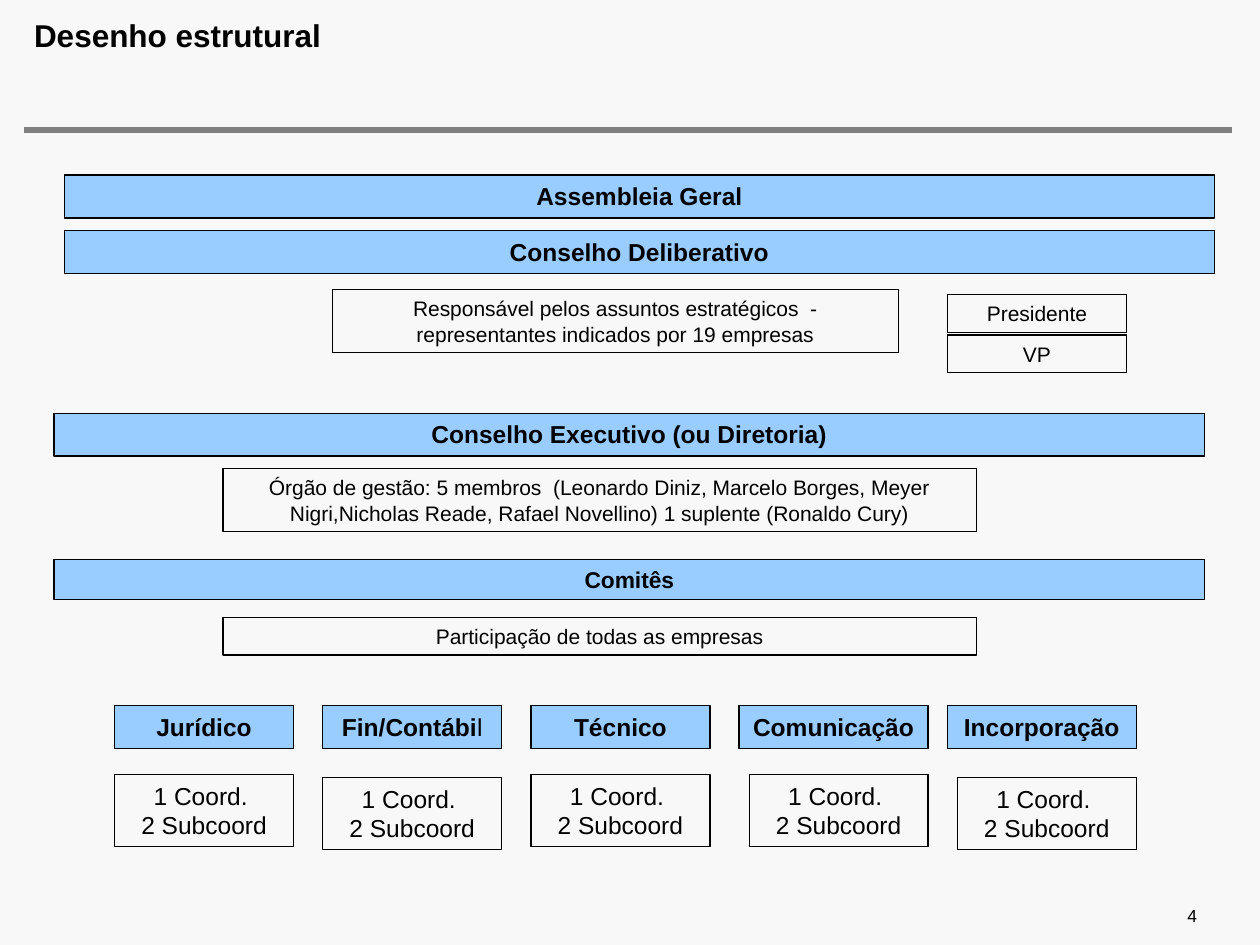
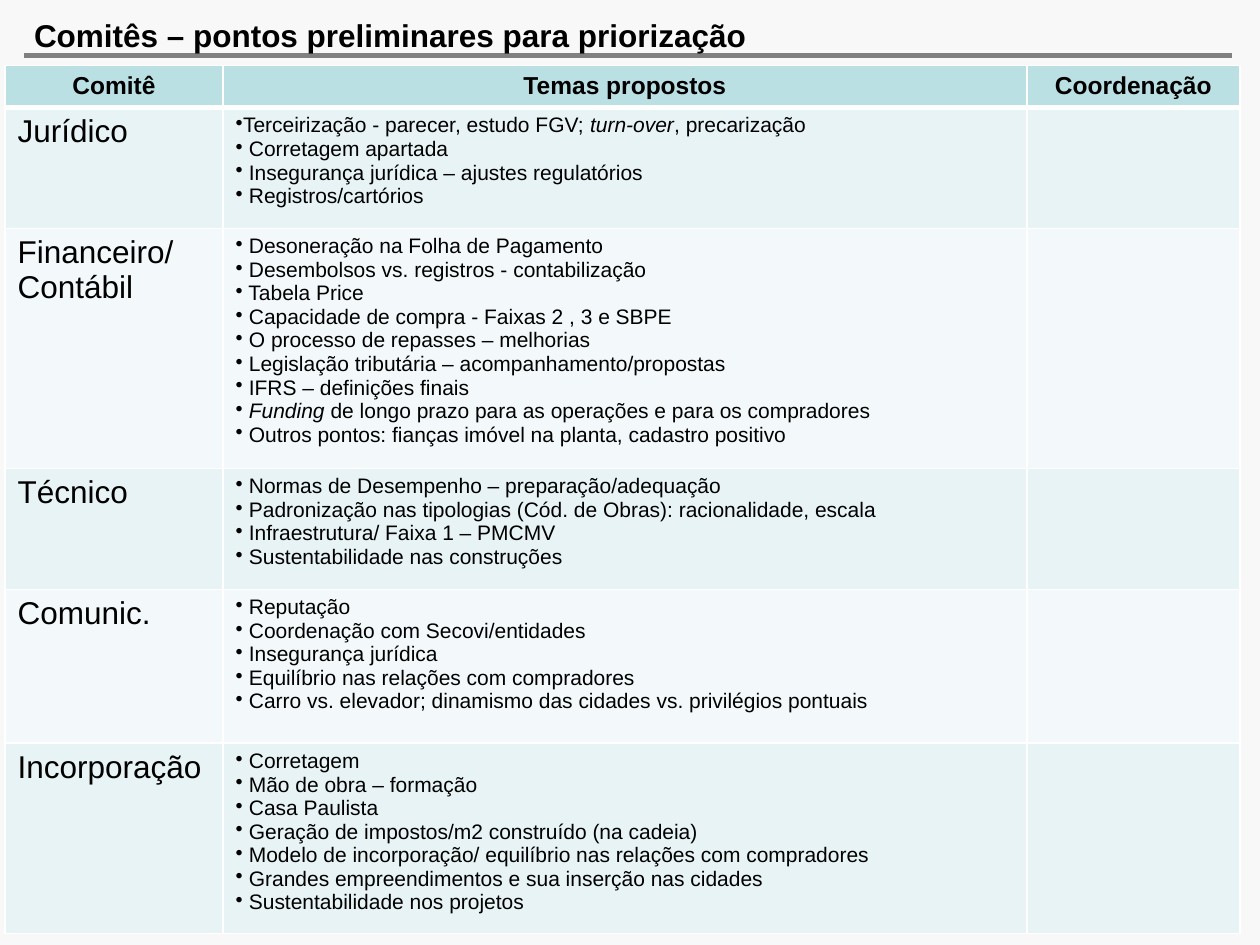
import pptx
import pptx.util
import pptx.dml.color
import pptx.enum.shapes
import pptx.enum.text
import pptx.oxml
import pptx.oxml.ns
import lxml.etree as etree

COLORS = {"page": "F8F8F8", "ink": "000000", "rule": "808080", "band": "99CCFF",
          "head": "BBE0E3", "odd": "E7F3F4", "even": "F3F9FA", "grid": "FFFFFF"}
FONT = "Arial"
GRID_COLS = 100
GRID_ROWS = 75

STRUCTURE_TITLE = "Desenho estrutural"
PAGE_NUMBER = "4"
BANDS = [
    ("Assembleia Geral", 5.1, 13.9, 3.4, 14),
    ("Conselho Deliberativo", 5.1, 18.3, 3.4, 14),
    ("Conselho Executivo (ou Diretoria)", 4.3, 32.8, 3.4, 14),
    ("Comitês", 4.3, 44.4, 3.2, 13),
]
BAND_WIDTH = 91.3
NOTES = [
    ("Responsável pelos assuntos estratégicos  - representantes indicados por 19 empresas",
     26.4, 23, 44.9, 5),
    ("Presidente", 75.2, 23.4, 14.2, 3),
    ("VP", 75.2, 26.6, 14.2, 3),
    ("Órgão de gestão: 5 membros  (Leonardo Diniz, Marcelo Borges, Meyer Nigri,"
     "Nicholas Reade, Rafael Novellino) 1 suplente (Ronaldo Cury)", 17.7, 37.2, 59.8, 5),
    ("Participação de todas as empresas", 17.7, 49, 59.8, 3),
]
COMMITTEES = [
    ([("Jurídico", True)], 14.2, 61.5),
    ([("Fin/Contábi", True), ("l", False)], 14.2, 61.7),
    ([("Técnico", True)], 14.2, 61.5),
    ([("Comunicação", True)], 15, 61.5),
    ([("Incorporação", True)], 15, 61.7),
]
COMMITTEE_LEFT, COMMITTEE_STEP, COMMITTEE_TOP = 9.1, 16.52, 56
STAFF = ["1 Coord. ", "2 Subcoord"]
STAFF_WIDTH, STAFF_HEIGHT = 14.2, 5.7

TOPICS_TITLE = "Comitês – pontos preliminares para priorização"
HEADERS = ["Comitê", "Temas propostos", "Coordenação"]
COLUMNS = [17.3, 63.8, 16.9]
HEADER_HEIGHT = 3.25
TOPICS = [
    (["Jurídico"], 9.6, [
        "Terceirização - parecer, estudo FGV; *turn-over*, precarização",
        " Corretagem apartada",
        " Insegurança jurídica – ajustes regulatórios",
        " Registros/cartórios"]),
    (["Financeiro/", "Contábil"], 19.05, [
        " Desoneração na Folha de Pagamento",
        " Desembolsos vs. registros - contabilização",
        " Tabela Price",
        " Capacidade de compra - Faixas 2 , 3 e SBPE",
        " O processo de repasses – melhorias",
        " Legislação tributária – acompanhamento/propostas",
        " IFRS – definições finais",
        "* Funding* de longo prazo para as operações e para os compradores",
        " Outros pontos: fianças imóvel na planta, cadastro positivo"]),
    (["Técnico"], 9.6, [
        " Normas de Desempenho – preparação/adequação",
        " Padronização nas tipologias (Cód. de Obras): racionalidade, escala",
        " Infraestrutura/ Faixa 1 – PMCMV",
        " Sustentabilidade nas construções"]),
    (["Comunic."], 12.2, [
        " Reputação",
        " Coordenação com Secovi/entidades",
        " Insegurança jurídica",
        " Equilíbrio nas relações com compradores",
        " Carro vs. elevador; dinamismo das cidades vs. privilégios pontuais"]),
    (["Incorporação"], 15.1, [
        " Corretagem",
        " Mão de obra – formação",
        " Casa Paulista",
        " Geração de impostos/m2 construído (na cadeia)",
        " Modelo de incorporação/ equilíbrio nas relações com compradores",
        " Grandes empreendimentos e sua inserção nas cidades",
        " Sustentabilidade nos projetos"]),
]

ALIGN = pptx.enum.text.PP_ALIGN
ANCHOR = pptx.enum.text.MSO_ANCHOR
prs = pptx.Presentation()
prs.slide_width = pptx.util.Inches(10)
prs.slide_height = pptx.util.Inches(7.5)


def gx(cols):
    return round(prs.slide_width * cols / GRID_COLS)


def gy(rows):
    return round(prs.slide_height * rows / GRID_ROWS)


def box(x, y, w, h):
    return gx(x), gy(y), gx(w), gy(h)


def rgb(name):
    return pptx.dml.color.RGBColor.from_string(COLORS[name])


def paint(fill, name):
    fill.solid()
    fill.fore_color.rgb = rgb(name)


def write(tf, lines, size, align=ALIGN.LEFT, bullet=False):
    for i, runs in enumerate(lines):
        p = tf.paragraphs[0] if i == 0 else tf.add_paragraph()
        p.alignment = align
        if bullet:
            pPr = p._p.get_or_add_pPr()
            pPr.set("marL", "0")
            pPr.set("indent", "0")
            etree.SubElement(pPr, pptx.oxml.ns.qn("a:buChar")).set("char", "•")
        for text, bold, italic in runs:
            r = p.add_run()
            r.text = text
            r.font.name = FONT
            r.font.size = pptx.util.Pt(size)
            r.font.bold = bold
            r.font.italic = italic
            r.font.color.rgb = rgb("ink")


def plain(texts, bold=False):
    return [[(text, bold, False)] for text in texts]


def emphasis(text):
    return [(part, False, i % 2 == 1) for i, part in enumerate(text.split("*")) if part]


def add_text(s, place, text, size, bold=False, align=ALIGN.LEFT, anchor=ANCHOR.TOP):
    tf = s.shapes.add_textbox(*place).text_frame
    tf.word_wrap = True
    tf.margin_left = tf.margin_right = tf.margin_top = tf.margin_bottom = 0
    tf.vertical_anchor = anchor
    write(tf, plain([text], bold), size, align)
    return tf


def add_page(title, rule_y):
    s = prs.slides.add_slide(prs.slide_layouts[6])
    paint(s.background.fill, "page")
    rule = s.shapes.add_connector(pptx.enum.shapes.MSO_CONNECTOR.STRAIGHT,
                                  gx(1.9), gy(rule_y), gx(97.8), gy(rule_y))
    rule.line.color.rgb = rgb("rule")
    rule.line.width = pptx.util.Pt(3.2)
    etree.SubElement(rule._element.spPr, pptx.oxml.ns.qn("a:effectLst"))
    tf = add_text(s, box(2.7, 1.6, 80.9, 2.7), title, 18, bold=True)
    tf.paragraphs[0].line_spacing = 0.9
    return s


def add_box(s, place, lines, size, fill=None):
    sp = s.shapes.add_shape(pptx.enum.shapes.MSO_SHAPE.RECTANGLE, *place)
    sp.shadow.inherit = False
    if fill:
        paint(sp.fill, fill)
    else:
        sp.fill.background()
    sp.line.color.rgb = rgb("ink")
    sp.line.width = pptx.util.Pt(0.75)
    tf = sp.text_frame
    tf.word_wrap = True
    tf.auto_size = pptx.enum.text.MSO_AUTO_SIZE.SHAPE_TO_FIT_TEXT
    tf.vertical_anchor = ANCHOR.TOP
    write(tf, lines, size, ALIGN.CENTER)


def set_cell(cell, fill, bottom=1):
    for side, width in (("L", 1), ("R", 1), ("T", 1), ("B", bottom)):
        cell._tc.get_or_add_tcPr().append(pptx.oxml.parse_xml(
            f'<a:ln{side} {pptx.oxml.ns.nsdecls("a")} w="{pptx.util.Pt(width)}"><a:solidFill>'
            f'<a:srgbClr val="{COLORS["grid"]}"/></a:solidFill></a:ln{side}>'))
    paint(cell.fill, fill)


def build_structure():
    s = add_page(STRUCTURE_TITLE, 10.3)
    add_text(s, box(71.6, 71.8, 23.4, 1.7), PAGE_NUMBER, 10,
             align=ALIGN.RIGHT, anchor=ANCHOR.BOTTOM)
    for text, x, y, h, size in BANDS:
        add_box(s, box(x, y, BAND_WIDTH, h), plain([text], True), size, "band")
    for text, *place in NOTES:
        add_box(s, box(*place), plain([text]), 12)
    for i, (name, w, staff_top) in enumerate(COMMITTEES):
        x = COMMITTEE_LEFT + i * COMMITTEE_STEP
        runs = [(text, bold, False) for text, bold in name]
        add_box(s, box(x, COMMITTEE_TOP, w, 3.4), [runs], 14, "band")
        add_box(s, box(x + w - STAFF_WIDTH, staff_top, STAFF_WIDTH, STAFF_HEIGHT),
                plain(STAFF), 14)


def build_topics():
    s = add_page(TOPICS_TITLE, 4.4)
    heights = [HEADER_HEIGHT] + [h for _, h, _ in TOPICS]
    table = s.shapes.add_table(len(heights), len(COLUMNS),
                               *box(0.4, 5.2, sum(COLUMNS), sum(heights))).table
    table.horz_banding = False
    for column, w in zip(table.columns, COLUMNS):
        column.width = gx(w)
    for row, h in zip(table.rows, heights):
        row.height = gy(h)
    for c, header in enumerate(HEADERS):
        set_cell(table.cell(0, c), "head", bottom=3)
        write(table.cell(0, c).text_frame, plain([header], True), 14, ALIGN.CENTER)
    for i, (name, _, topics) in enumerate(TOPICS, 1):
        for c in range(len(COLUMNS)):
            set_cell(table.cell(i, c), "odd" if i % 2 else "even")
        write(table.cell(i, 0).text_frame, plain(name), 18)
        write(table.cell(i, 1).text_frame, [emphasis(t) for t in topics], 12, bullet=True)


def main():
    build_structure()
    build_topics()
    prs.save("out.pptx")


if __name__ == "__main__":
    main()
